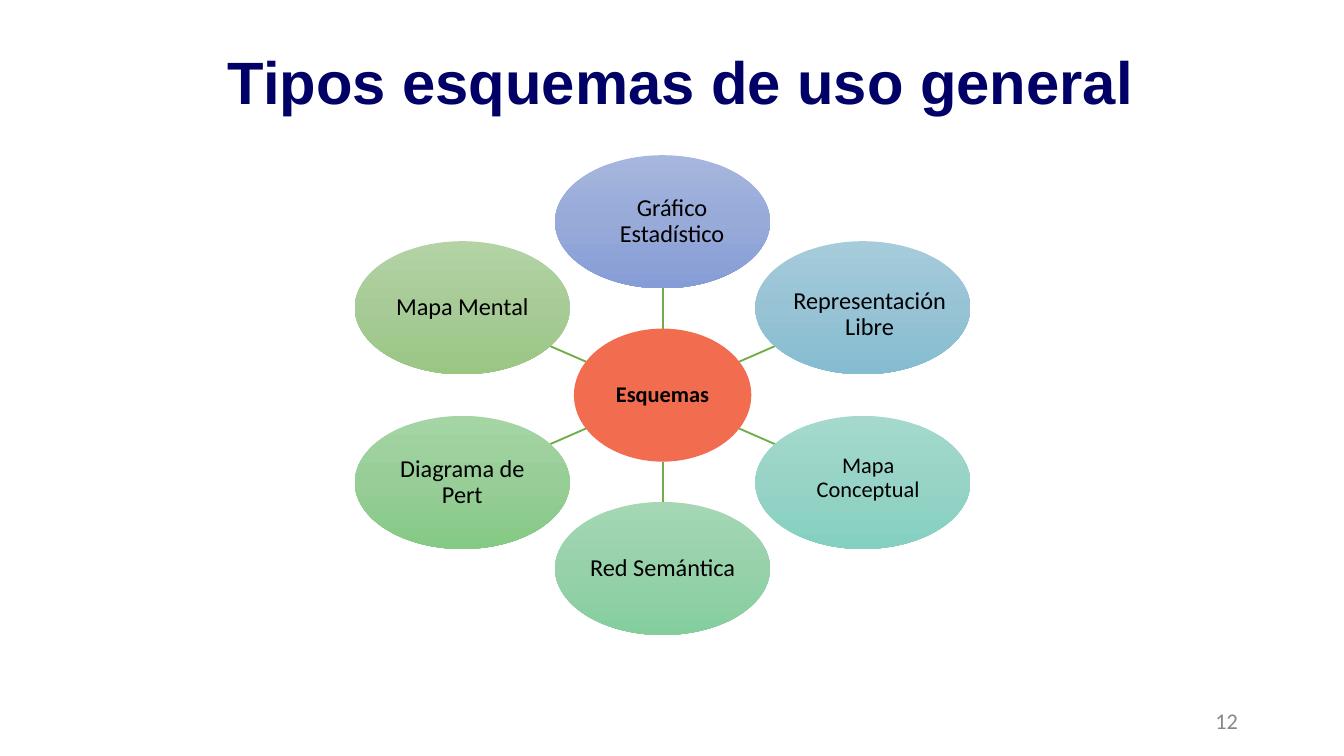
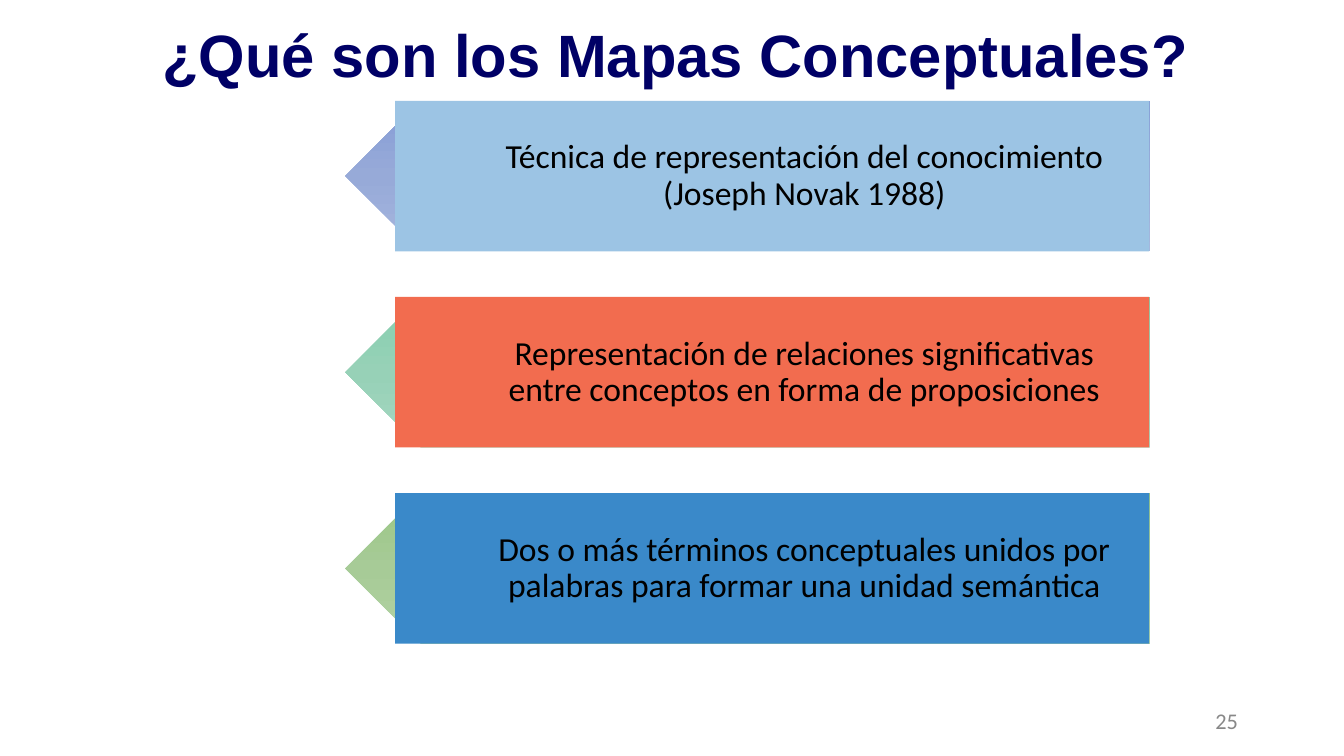
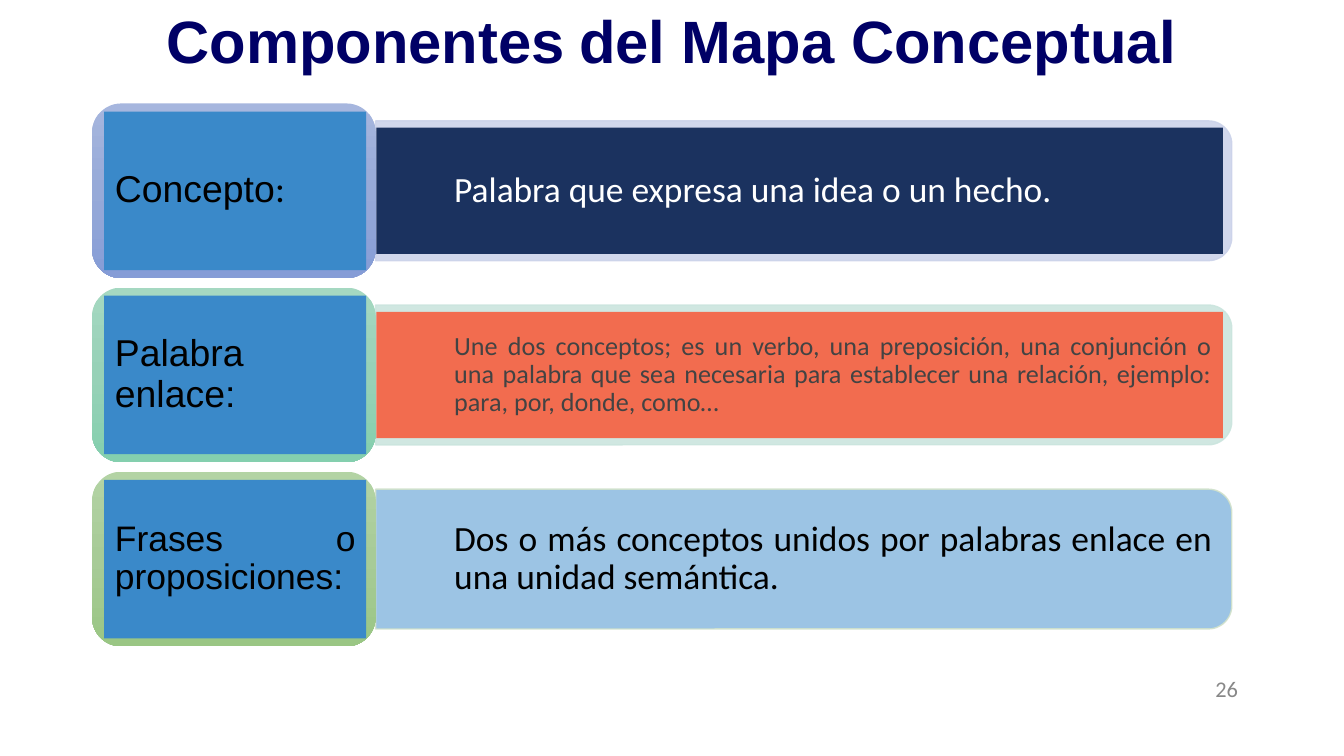
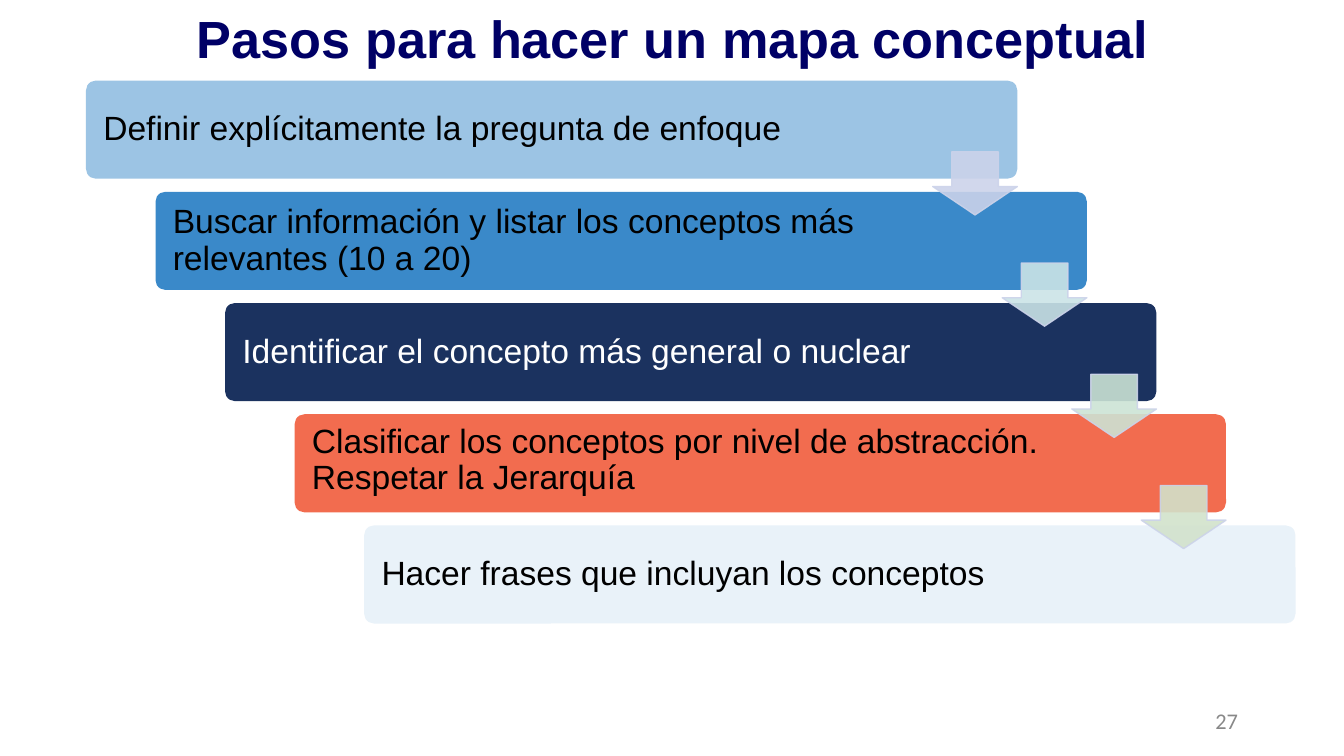
from copy import deepcopy
from dataclasses import dataclass
from math import hypot
from typing import Optional

from lxml import etree
from pptx import Presentation
from pptx.dml.color import RGBColor
from pptx.enum.shapes import MSO_CONNECTOR, MSO_SHAPE
from pptx.enum.text import MSO_ANCHOR, PP_ALIGN
from pptx.oxml.ns import qn
from pptx.shapes.autoshape import Shape
from pptx.slide import Slide
from pptx.util import Inches, Pt

ELLIPSE = MSO_SHAPE.OVAL
RECTANGLE = MSO_SHAPE.RECTANGLE
ROUNDED = MSO_SHAPE.ROUNDED_RECTANGLE
PENTAGON = MSO_SHAPE.PENTAGON
TAB = MSO_SHAPE.ROUND_2_SAME_RECTANGLE
DOWN_ARROW = MSO_SHAPE.DOWN_ARROW
STRAIGHT = MSO_CONNECTOR.STRAIGHT
MIDDLE = MSO_ANCHOR.MIDDLE
LEFT, CENTER, RIGHT, JUSTIFY = PP_ALIGN.LEFT, PP_ALIGN.CENTER, PP_ALIGN.RIGHT, PP_ALIGN.JUSTIFY

Gradient = tuple[str, str, str]
Margins = tuple[float, float, float, float]


@dataclass(frozen=True)
class Theme:
    """Colours, fonts and type sizes shared by the slides."""

    heading: str = "000066"
    black: str = "000000"
    white: str = "FFFFFF"
    muted: str = "888888"
    dark_gray: str = "434343"
    sky: str = "9CC4E4"
    blue: str = "3A89C9"
    navy: str = "1B325F"
    coral: str = "F26C4F"
    ice: str = "E9F2F9"
    link: str = "70AD47"
    pale_indigo: str = "CCD3EA"
    pale_teal: str = "CBE5DE"
    pale_cyan: str = "CBE4E7"
    pale_green: str = "CCE4D5"
    pale_olive: str = "D2E2CB"
    indigo: Gradient = ("A6B6DE", "97AAD8", "859CD6")
    cyan: Gradient = ("A6CCDB", "97C3D5", "85BCD2")
    teal: Gradient = ("A5D9CE", "97D3C6", "84D0C0")
    mint: Gradient = ("A5D8C1", "97D1B7", "84CFAE")
    jade: Gradient = ("A5D7B5", "97D1AA", "84CE9D")
    green: Gradient = ("A5D5A5", "97CD97", "84C984")
    olive: Gradient = ("B3D3A4", "A7CB97", "9AC684")
    sans: str = "Arial"
    body: str = "Calibri"
    display: str = "League Spartan"
    title_size: int = 32
    small_title_size: int = 28
    term_size: int = 20
    definition_size: int = 19
    text_size: int = 18
    detail_size: int = 14
    node_size: int = 13
    small_size: int = 12
    opacity: int = 89
    hairline: float = 0.75


THEME = Theme()


@dataclass(frozen=True)
class Box:
    """A frame in inches."""

    left: float
    top: float
    width: float
    height: float

    def emu(self) -> tuple[int, int, int, int]:
        """Return the frame as lengths for python-pptx."""
        return Inches(self.left), Inches(self.top), Inches(self.width), Inches(self.height)


@dataclass(frozen=True)
class TextRun:
    """A piece of text with one look."""

    text: str
    size: int
    font: str = THEME.body
    color: str = THEME.black
    bold: bool = False


@dataclass(frozen=True)
class Satellite:
    """An outer ellipse of the radial diagram, placed from the hub."""

    text: str
    gradient: Gradient
    offset: tuple[float, float]
    label_shift: tuple[float, float] = (0, 0)
    label_width: float = 1.13
    size: int = THEME.node_size


@dataclass(frozen=True)
class Definition:
    """A band with a pointed end."""

    text: str
    fill: str
    gradient: Gradient


@dataclass(frozen=True)
class Component:
    """A term and its explanation."""

    term: tuple[TextRun, ...]
    explanation: TextRun
    gradient: Gradient
    band: str
    edge: str
    panel: Optional[str] = None


@dataclass(frozen=True)
class Step:
    """A bar of the staircase and the arrow that leaves it."""

    text: str
    fill: str
    arrow: Optional[str] = None
    color: str = THEME.black
    text_shift: float = 0


SATELLITES = (
    Satellite("Gráfico Estadístico", THEME.indigo, (0, -1.29), (0.07, 0)),
    Satellite("Representación Libre", THEME.cyan, (1.49, -0.65), (0.05, 0.05), 1.44),
    Satellite("Mapa Conceptual", THEME.teal, (1.49, 0.65), (0.04, -0.03), size=THEME.small_size),
    Satellite("Red Semántica", THEME.jade, (0, 1.29)),
    Satellite("Diagrama de Pert", THEME.green, (-1.49, 0.65)),
    Satellite("Mapa Mental", THEME.olive, (-1.49, -0.65)),
)

DEFINITIONS = (
    Definition("Técnica de representación del conocimiento (Joseph Novak 1988)", THEME.sky, THEME.indigo),
    Definition(
        "Representación de relaciones significativas entre conceptos en forma de proposiciones",
        THEME.coral, THEME.mint,
    ),
    Definition(
        "Dos o más términos conceptuales unidos por palabras para formar una unidad semántica",
        THEME.blue, THEME.olive,
    ),
)

COMPONENTS = (
    Component(
        (TextRun("Concepto", THEME.term_size, THEME.sans), TextRun(":", THEME.term_size)),
        TextRun("Palabra que expresa una idea o un hecho.", THEME.definition_size, color=THEME.white),
        THEME.indigo, THEME.pale_indigo, THEME.pale_indigo, THEME.navy,
    ),
    Component(
        (TextRun("Palabra enlace:", THEME.term_size, THEME.sans),),
        TextRun(
            "Une dos conceptos; es un verbo, una preposición, una conjunción o una palabra "
            "que sea necesaria para establecer una relación, ejemplo: para, por, donde, como…",
            THEME.detail_size, color=THEME.dark_gray,
        ),
        THEME.mint, THEME.pale_teal, THEME.pale_teal, THEME.coral,
    ),
    Component(
        (TextRun("Frases o proposiciones:", THEME.definition_size, THEME.sans),),
        TextRun(
            "Dos o más conceptos unidos por palabras enlace en una unidad semántica.",
            THEME.definition_size,
        ),
        THEME.olive, THEME.sky, THEME.pale_olive,
    ),
)

STEPS = (
    Step("Definir explícitamente la pregunta de enfoque", THEME.sky, THEME.pale_indigo),
    Step("Buscar información y listar los conceptos más relevantes (10 a 20)", THEME.blue, THEME.pale_cyan),
    Step("Identificar el concepto más general o nuclear", THEME.navy, THEME.pale_green, THEME.white),
    Step(
        "Clasificar los conceptos por nivel de abstracción. Respetar la Jerarquía",
        THEME.coral, THEME.pale_olive, text_shift=-0.02,
    ),
    Step("Hacer frases que incluyan los conceptos", THEME.ice),
)


def centered(x: float, y: float, width: float, height: float) -> Box:
    """Return a frame around a centre point."""
    return Box(x - width / 2, y - height / 2, width, height)


def write_text(
    shape: Shape, runs: tuple[TextRun, ...], alignment: PP_ALIGN, margins: Margins, spacing: float = 0.9
) -> None:
    """Fill a shape with one paragraph of runs."""
    frame = shape.text_frame
    frame.word_wrap = True
    frame.vertical_anchor = MIDDLE
    frame.margin_left, frame.margin_top, frame.margin_right, frame.margin_bottom = map(Inches, margins)
    paragraph = frame.paragraphs[0]
    paragraph.alignment = alignment
    paragraph.line_spacing = spacing
    for item in runs:
        run = paragraph.add_run()
        run.text = item.text
        run.font.name = item.font
        run.font.size = Pt(item.size)
        run.font.bold = item.bold
        run.font.color.rgb = RGBColor.from_string(item.color)


def add_text(
    slide: Slide, box: Box, runs: tuple[TextRun, ...], alignment: PP_ALIGN,
    margins: Margins = (0.1, 0.05, 0.1, 0.05), spacing: float = 0.9,
) -> None:
    """Add a text box."""
    write_text(slide.shapes.add_textbox(*box.emu()), runs, alignment, margins, spacing)


def add_figure(
    slide: Slide, kind: MSO_SHAPE, box: Box, fill: str | Gradient,
    adjustments: tuple[float, ...] = (), rotation: float = 0,
) -> Shape:
    """Add a borderless preset shape with a solid or gradient fill."""
    shape = slide.shapes.add_shape(kind, *box.emu())
    shape.shadow.inherit = False
    shape.rotation = rotation
    shape.line.fill.background()
    for index, value in enumerate(adjustments):
        shape.adjustments[index] = value
    if isinstance(fill, str):
        shape.fill.solid()
        shape.fill.fore_color.rgb = RGBColor.from_string(fill)
    else:
        paint_gradient(shape, fill)
    return shape


def paint_gradient(shape: Shape, colors: Gradient) -> None:
    """Fill a shape with an even gradient from top to bottom."""
    shape.fill.gradient()
    shape.fill.gradient_angle = 270
    first = shape.element.spPr.find(qn("a:gradFill")).find(qn("a:gsLst"))[0]
    first.addnext(deepcopy(first))
    for index, (stop, color) in enumerate(zip(shape.fill.gradient_stops, colors)):
        stop.position = index / (len(colors) - 1)
        stop.color.rgb = RGBColor.from_string(color)


def outline(shape: Shape, color: str) -> None:
    """Give a shape a thin translucent border."""
    shape.line.color.rgb = RGBColor.from_string(color)
    shape.line.width = Pt(THEME.hairline)
    make_translucent(shape.element.spPr.find(qn("a:ln")))


def make_translucent(parent: etree.ElementBase) -> None:
    """Apply the theme opacity to the solid fill of an element."""
    color = parent.find(qn("a:solidFill")).find(qn("a:srgbClr"))
    etree.SubElement(color, qn("a:alpha")).set("val", str(THEME.opacity * 1000))


def add_link(slide: Slide, start: tuple[float, float], end: tuple[float, float]) -> None:
    """Add a straight line between two points."""
    connector = slide.shapes.add_connector(STRAIGHT, *map(Inches, (*start, *end)))
    connector.line.color.rgb = RGBColor.from_string(THEME.link)
    connector.line.width = Pt(1)
    etree.SubElement(connector.element.spPr, qn("a:effectLst"))


def title_run(text: str, size: int = THEME.title_size) -> TextRun:
    """Return a run in the title style."""
    return TextRun(text, size, THEME.sans, THEME.heading, True)


def title_gap(size: int) -> TextRun:
    """Return the space between two parts of a title."""
    return TextRun(" ", size, THEME.display)


def start_slide(
    presentation: Presentation, title: tuple[TextRun, ...], title_box: Box, number: int, number_top: float = 5.21
) -> Slide:
    """Add a blank slide with its title and page number."""
    slide = presentation.slides.add_slide(presentation.slide_layouts[6])
    add_text(slide, title_box, title, CENTER)
    page = TextRun(str(number), THEME.small_size, color=THEME.muted)
    add_text(slide, Box(7.06, number_top, 2.25, 0.3), (page,), RIGHT, spacing=1)
    return slide


def build_types(presentation: Presentation) -> None:
    """Build the radial diagram of scheme types."""
    title = (title_run("Tipos"), title_gap(36), title_run("esquemas de uso general"))
    slide = start_slide(presentation, title, Box(0.48, 0.07, 9.17, 1.09), 12)
    hub_x, hub_y = 4.93, 2.94
    hub_width, node_width, height = 1.32, 1.6, 0.99
    label_height, label_margins = 0.7, (0.01,) * 4

    add_figure(slide, ELLIPSE, centered(hub_x, hub_y, hub_width, height), THEME.coral)
    hub = TextRun("Esquemas", THEME.small_size, bold=True)
    add_text(slide, centered(hub_x, hub_y, 0.93, label_height), (hub,), CENTER, label_margins)
    for node in SATELLITES:
        dx, dy = node.offset
        x, y = hub_x + dx, hub_y + dy
        hub_edge = 1 / hypot(2 * dx / hub_width, 2 * dy / height)
        node_edge = 1 - 1 / hypot(2 * dx / node_width, 2 * dy / height)
        start, end = ((hub_x + dx * part, hub_y + dy * part) for part in (hub_edge, node_edge))
        add_link(slide, start, end)
        add_figure(slide, ELLIPSE, centered(x, y, node_width, height), node.gradient)
        shift_x, shift_y = node.label_shift
        label = centered(x + shift_x, y + shift_y, node.label_width, label_height)
        add_text(slide, label, (TextRun(node.text, node.size),), CENTER, label_margins)


def build_definitions(presentation: Presentation) -> None:
    """Build the three definition bands."""
    title = (title_run("¿Qué son los Mapas Conceptuales?"),)
    slide = start_slide(presentation, title, Box(0.75, 0.05, 8.56, 0.76), 25)
    for index, item in enumerate(DEFINITIONS):
        top = 0.75 + 1.46 * index
        add_figure(slide, PENTAGON, Box(2.57, top, 5.99, 1.12), item.gradient, (0.5,), 180)
        band = add_figure(slide, RECTANGLE, Box(2.94, top, 5.61, 1.12), item.fill)
        write_text(band, (TextRun(item.text, THEME.text_size),), CENTER, (0.66, 0.1, 0.18, 0.1))


def build_components(presentation: Presentation) -> None:
    """Build the rows of terms and explanations."""
    title = (title_run("Componentes"), title_gap(30), title_run("del Mapa Conceptual"))
    slide = start_slide(presentation, title, Box(0.5, 0.04, 9, 0.58), 26, 4.97)
    corner = 1 / 6
    for index, item in enumerate(COMPONENTS):
        middle = 1.42 + 1.37 * index
        band_box = centered(5.98, middle, 1.04, 6.37)
        band = add_figure(slide, TAB, band_box, item.band, (corner, 0), 90)
        outline(band, item.edge)
        panel_box = centered(5.95, middle, 6.3, 0.94)
        explanation = (item.explanation,)
        panel_margins = (0.58, 0.04, 0.08, 0.04)
        if item.panel:
            make_translucent(band.element.spPr)
            panel = add_figure(slide, RECTANGLE, panel_box, item.panel)
            write_text(panel, explanation, JUSTIFY, panel_margins)
        else:
            add_text(slide, panel_box, explanation, JUSTIFY, panel_margins)
        add_figure(slide, ROUNDED, centered(1.74, middle, 2.11, 1.3), item.gradient, (corner,))
        term = add_figure(slide, RECTANGLE, centered(1.75, middle, 1.95, 1.18), THEME.blue)
        write_text(term, item.term, JUSTIFY, (0.08, 0.04, 0.08, 0.04))


def build_steps(presentation: Presentation) -> None:
    """Build the staircase of steps."""
    title = (title_run("Pasos para hacer un mapa conceptual", THEME.small_title_size),)
    slide = start_slide(presentation, title, Box(0.21, -0.14, 9.59, 0.9), 27)
    width, height, arrow_width = 6.93, 0.73, 0.63
    last = len(STEPS) - 1
    corners = [(0.64 + 2.07 * index / last, 0.6 + 3.31 * index / last) for index in range(len(STEPS))]
    for step, (left, top) in zip(STEPS, corners):
        add_figure(slide, ROUNDED, Box(left, top, width, height), step.fill, (0.1,))
        label = Box(left + 0.03, top + 0.02 + step.text_shift, 5.72, 0.69)
        run = TextRun(step.text, THEME.text_size, THEME.sans, step.color)
        add_text(slide, label, (run,), LEFT, (0.1,) * 4)
    for step, (left, top) in zip(STEPS, corners):
        if step.arrow:
            box = Box(left + width - arrow_width, top + 0.53, arrow_width, 0.47)
            arrow = add_figure(slide, DOWN_ARROW, box, step.arrow, (0.55, 0.45))
            make_translucent(arrow.element.spPr)
            outline(arrow, THEME.pale_indigo)


def main() -> None:
    """Build and save the presentation."""
    presentation = Presentation()
    presentation.slide_width = Inches(10)
    presentation.slide_height = Inches(10 * 9 / 16)
    build_types(presentation)
    build_definitions(presentation)
    build_components(presentation)
    build_steps(presentation)
    presentation.save("out.pptx")


if __name__ == "__main__":
    main()
